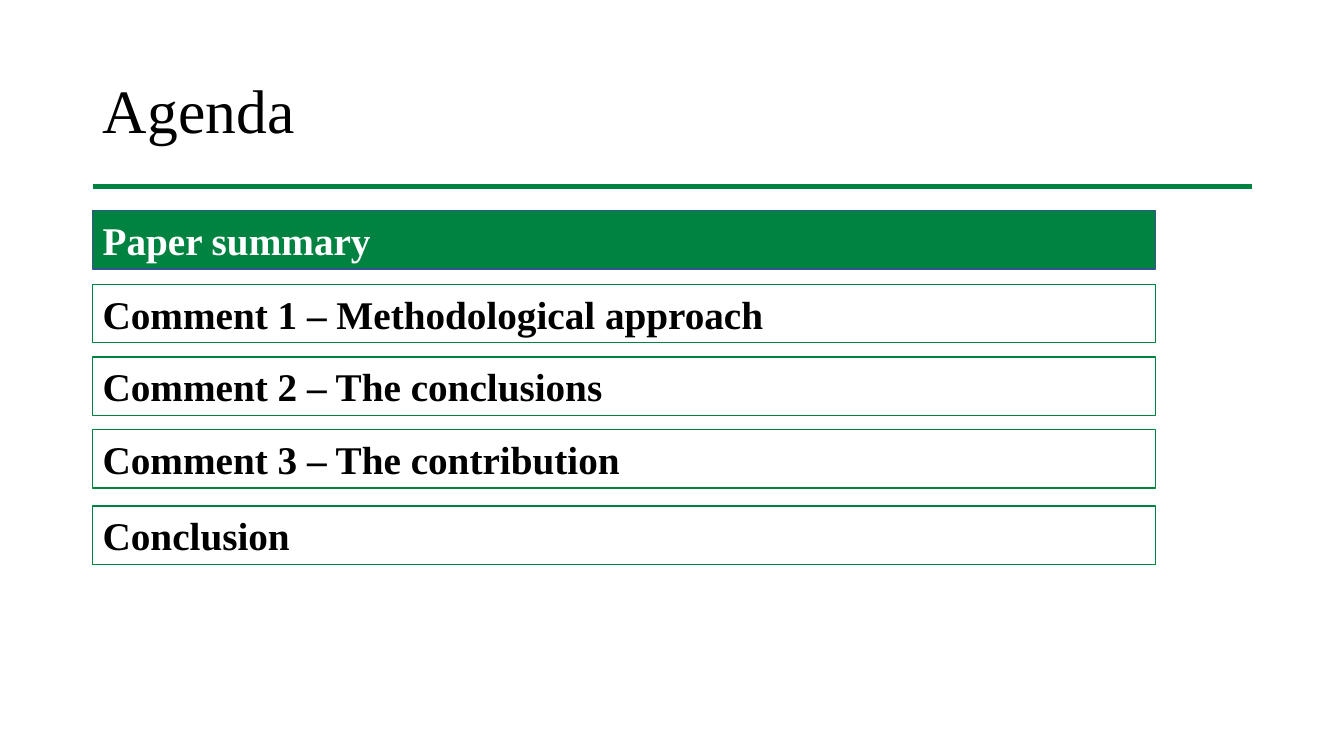
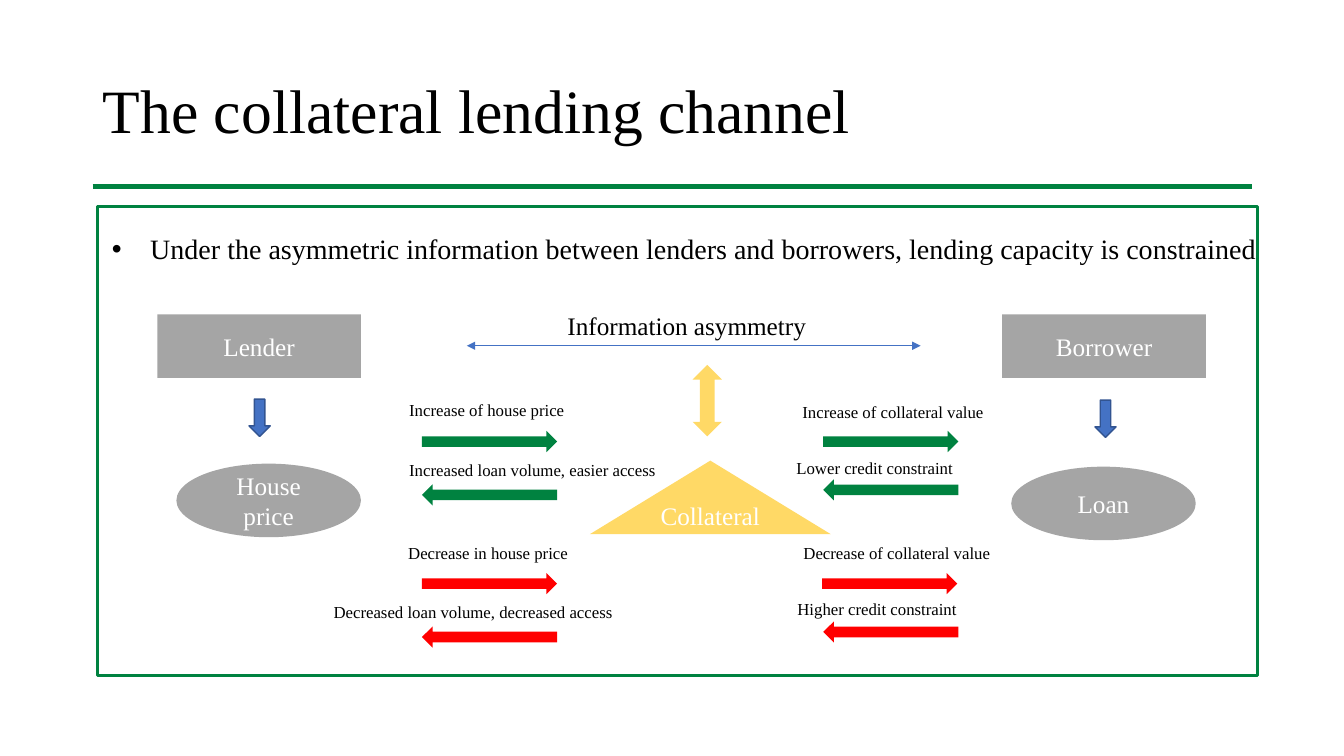
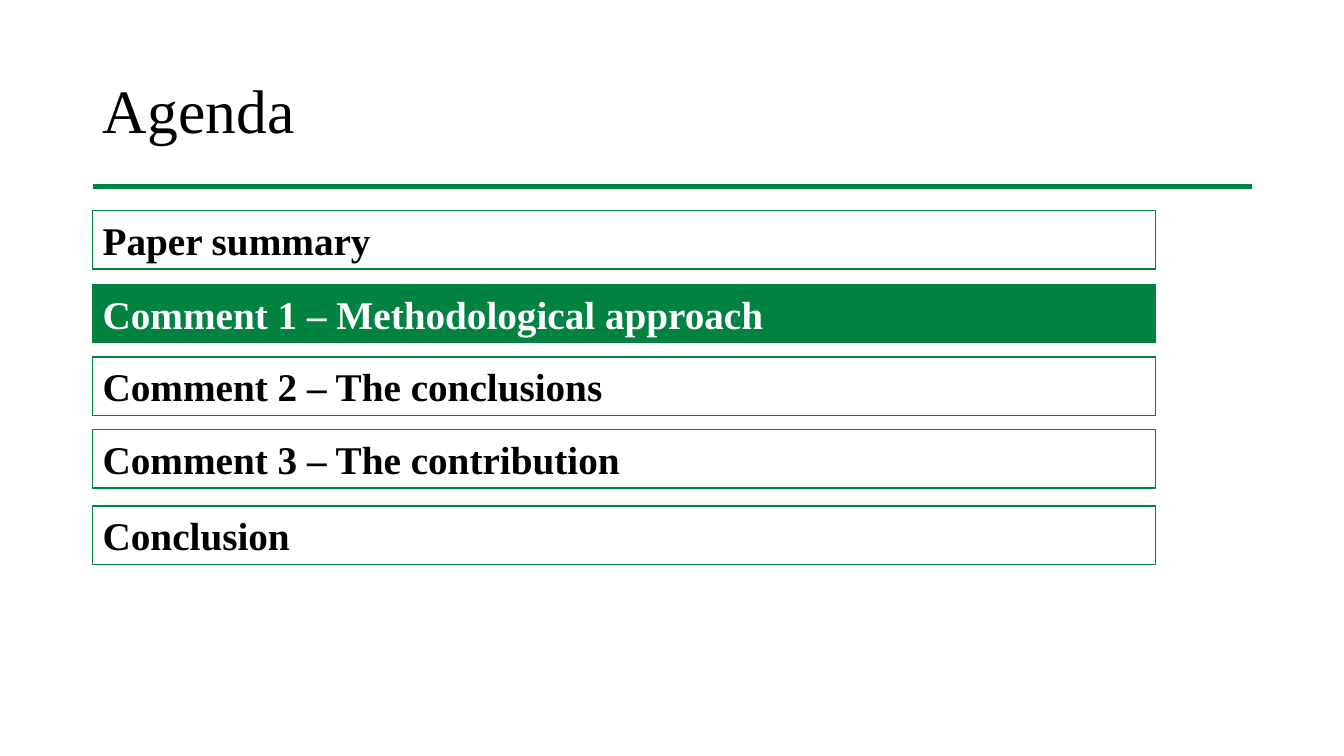
"""Build three slides: two agenda states and the collateral lending channel."""
from dataclasses import dataclass

from lxml.etree import SubElement
from pptx import Presentation
from pptx.dml.color import RGBColor
from pptx.enum.shapes import MSO_CONNECTOR, MSO_SHAPE
from pptx.enum.text import MSO_ANCHOR, MSO_AUTO_SIZE, PP_ALIGN
from pptx.oxml.ns import qn
from pptx.presentation import Presentation as Deck
from pptx.shapes.autoshape import Shape
from pptx.slide import Slide
from pptx.text.text import TextFrame
from pptx.util import Inches, Pt

FONT = "Times New Roman"
GREEN, RED, GREY, YELLOW = "008240", "FF0000", "A5A5A5", "FFD966"
BLUE, NAVY, BLACK, WHITE = "4472C4", "325491", "000000", "FFFFFF"
CONTENT_LAYOUT, TITLE_LAYOUT = 1, 5
RIGHTWARD, LEFTWARD = 270, 90


@dataclass(frozen=True)
class Box:
    left: float
    top: float
    width: float
    height: float

    def lengths(self) -> tuple[int, int, int, int]:
        return (Inches(self.left), Inches(self.top),
                Inches(self.width), Inches(self.height))


@dataclass(frozen=True)
class Node:
    preset: MSO_SHAPE
    box: Box
    fill: str
    text: str = ""
    outline: str | None = None


@dataclass(frozen=True)
class Label:
    text: str
    left: float
    top: float
    width: float = 2.71
    height: float = 0.3
    size: int = 12


@dataclass(frozen=True)
class Flow:
    label: Label
    arrow_left: float
    arrow_top: float
    rotation: int
    colour: str


TITLE_BOX = Box(0.92, 0.4, 11.5, 1.45)
AGENDA = (
    ("Paper summary", 2.09),
    ("Comment 1 – Methodological approach", 2.82),
    ("Comment 2 – The conclusions", 3.54),
    ("Comment 3 – The contribution", 4.26),
    ("Conclusion", 5.02),
)
NODES = (
    Node(MSO_SHAPE.RECTANGLE, Box(1.56, 3.12, 2.02, 0.63), GREY, "Lender"),
    Node(MSO_SHAPE.RECTANGLE, Box(9.94, 3.12, 2.02, 0.63), GREY, "Borrower"),
    Node(MSO_SHAPE.OVAL, Box(1.75, 4.6, 1.83, 0.73), GREY, "House price"),
    Node(MSO_SHAPE.OVAL, Box(10.03, 4.63, 1.83, 0.73), GREY, "Loan"),
    Node(MSO_SHAPE.ISOSCELES_TRIANGLE, Box(5.85, 4.57, 2.39, 0.73), YELLOW, "Collateral"),
    Node(MSO_SHAPE.DOWN_ARROW, Box(2.47, 3.96, 0.21, 0.37), BLUE, outline=NAVY),
    Node(MSO_SHAPE.DOWN_ARROW, Box(10.86, 3.97, 0.21, 0.37), BLUE, outline=NAVY),
    Node(MSO_SHAPE.UP_DOWN_ARROW, Box(6.87, 3.62, 0.29, 0.71), YELLOW),
)
FLOWS = (
    Flow(Label("Increase of house price", 3.96, 3.92), 4.75, 3.71, RIGHTWARD, GREEN),
    Flow(Label("Increase of collateral value", 7.86, 3.94), 8.73, 3.71, RIGHTWARD, GREEN),
    Flow(Label("Lower credit constraint", 7.8, 4.49), 8.73, 4.19, LEFTWARD, GREEN),
    Flow(Label("Increased loan volume, easier access", 3.96, 4.51),
         4.75, 4.24, LEFTWARD, GREEN),
    Flow(Label("Decrease in house price", 3.95, 5.34), 4.75, 5.12, RIGHTWARD, RED),
    Flow(Label("Decrease of collateral value", 7.87, 5.34), 8.72, 5.12, RIGHTWARD, RED),
    Flow(Label("Higher credit constraint", 7.81, 5.89), 8.73, 5.6, LEFTWARD, RED),
    Flow(Label("Decreased loan volume, decreased access", 3.21, 5.92, 3.69),
         4.75, 5.65, LEFTWARD, RED),
)


def rgb(colour: str) -> RGBColor:
    return RGBColor.from_string(colour)


def place(shape: Shape, box: Box) -> None:
    shape.left, shape.top, shape.width, shape.height = box.lengths()


def write(frame: TextFrame, text: str, size: int, colour: str = BLACK,
          align: PP_ALIGN = PP_ALIGN.LEFT, bold: bool = False) -> None:
    frame.word_wrap = True
    paragraph = frame.paragraphs[0]
    paragraph.text = text
    paragraph.alignment = align
    font = paragraph.runs[0].font
    font.name, font.size, font.bold = FONT, Pt(size), bold
    font.color.rgb = rgb(colour)


def add_panel(slide: Slide, preset: MSO_SHAPE, box: Box, fill: str | None = None,
              outline: str | None = None, weight: float = 1) -> Shape:
    panel = slide.shapes.add_shape(preset, *box.lengths())
    panel.shadow.inherit = False
    if fill:
        panel.fill.solid()
        panel.fill.fore_color.rgb = rgb(fill)
    else:
        panel.fill.background()
    if outline:
        panel.line.color.rgb = rgb(outline)
        panel.line.width = Pt(weight)
    else:
        panel.line.fill.background()
    panel.text_frame.vertical_anchor = MSO_ANCHOR.MIDDLE
    return panel


def add_rule(slide: Slide, left: float, right: float, top: float, colour: str,
             weight: float, arrowheads: bool = False) -> None:
    rule = slide.shapes.add_connector(
        MSO_CONNECTOR.STRAIGHT, Inches(left), Inches(top), Inches(right), Inches(top))
    rule.line.color.rgb = rgb(colour)
    rule.line.width = Pt(weight)
    properties = rule.element.spPr
    if arrowheads:
        stroke = properties.find(qn("a:ln"))
        for end in ("a:headEnd", "a:tailEnd"):
            SubElement(stroke, qn(end), type="triangle")
    SubElement(properties, qn("a:effectLst"))


def add_label(slide: Slide, label: Label) -> None:
    box = Box(label.left, label.top, label.width, label.height)
    caption = slide.shapes.add_textbox(*box.lengths())
    write(caption.text_frame, label.text, label.size)
    caption.text_frame.auto_size = MSO_AUTO_SIZE.SHAPE_TO_FIT_TEXT


def add_titled_slide(deck: Deck, heading: str, layout: int = TITLE_LAYOUT) -> Slide:
    slide = deck.slides.add_slide(deck.slide_layouts[layout])
    title = slide.shapes.title
    place(title, TITLE_BOX)
    write(title.text_frame, heading, 44)
    title.text_frame.auto_size = MSO_AUTO_SIZE.NONE
    title.text_frame.vertical_anchor = MSO_ANCHOR.MIDDLE
    title.text_frame.paragraphs[0].line_spacing = 0.9
    add_rule(slide, 0.92, 12.42, 1.85, GREEN, 3.5)
    return slide


def add_agenda(deck: Deck, current: str, current_outline: str) -> None:
    slide = add_titled_slide(deck, "Agenda")
    for topic, top in AGENDA:
        active = topic == current
        bar = add_panel(slide, MSO_SHAPE.RECTANGLE, Box(0.92, top, 10.54, 0.58),
                        GREEN if active else None, current_outline if active else GREEN)
        write(bar.text_frame, topic, 28, WHITE if active else BLACK, bold=True)


def add_premise(slide: Slide) -> None:
    premise = slide.placeholders[1]
    place(premise, Box(1.01, 2.25, 11.65, 0.44))
    write(premise.text_frame, "Under the asymmetric information between lenders and "
          "borrowers, lending capacity is constrained", 20)
    premise.text_frame.auto_size = MSO_AUTO_SIZE.NONE
    paragraph = premise.text_frame.paragraphs[0]
    paragraph.space_before = Pt(0)
    indents = paragraph._p.get_or_add_pPr()
    indents.set("marL", str(Inches(0.38)))
    indents.set("indent", str(-Inches(0.38)))


def add_lending_channel(deck: Deck) -> None:
    slide = add_titled_slide(deck, "The collateral lending channel", CONTENT_LAYOUT)
    add_panel(slide, MSO_SHAPE.RECTANGLE, Box(0.97, 2.05, 11.5, 4.65),
              outline=GREEN, weight=2)
    add_premise(slide)
    add_rule(slide, 4.63, 9.13, 3.43, BLUE, 0.5, arrowheads=True)
    add_label(slide, Label("Information asymmetry", 5.53, 3.03, height=0.4, size=18))
    for node in NODES:
        panel = add_panel(slide, node.preset, node.box, node.fill, node.outline)
        if node.text:
            write(panel.text_frame, node.text, 18, WHITE, PP_ALIGN.CENTER)
    for flow in FLOWS:
        arrow = add_panel(slide, MSO_SHAPE.DOWN_ARROW,
                          Box(flow.arrow_left, flow.arrow_top, 0.21, 1.34), flow.colour)
        arrow.rotation = flow.rotation
        add_label(slide, flow.label)


def main() -> None:
    deck = Presentation()
    deck.slide_width, deck.slide_height = Inches(13.33), Inches(7.5)
    add_agenda(deck, "Paper summary", NAVY)
    add_lending_channel(deck)
    add_agenda(deck, "Comment 1 – Methodological approach", GREEN)
    deck.save("out.pptx")


main()
